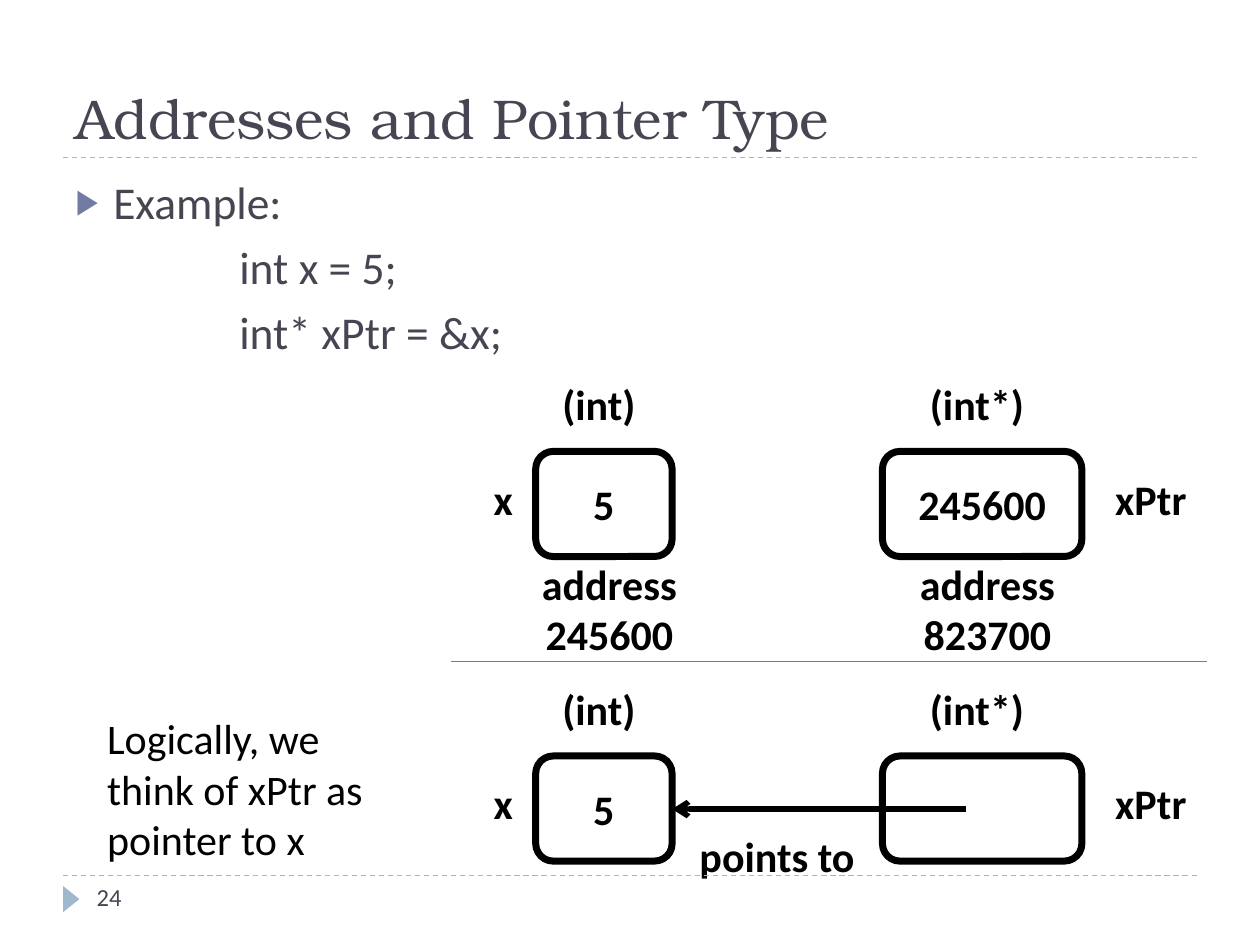
from lxml import etree
from pptx import Presentation
from pptx.dml.color import RGBColor
from pptx.enum.dml import MSO_LINE
from pptx.enum.shapes import MSO_CONNECTOR, MSO_SHAPE
from pptx.enum.text import MSO_ANCHOR, MSO_AUTO_SIZE, PP_ALIGN
from pptx.oxml.ns import qn
from pptx.util import Cm, Pt

LEFT, CENTER, RIGHT = PP_ALIGN.LEFT, PP_ALIGN.CENTER, PP_ALIGN.RIGHT
TOP, MIDDLE, BOTTOM = MSO_ANCHOR.TOP, MSO_ANCHOR.MIDDLE, MSO_ANCHOR.BOTTOM
DASH = MSO_LINE.DASH
COLORS = {"ink": "464653", "accent": "727CA3", "pale": "9FB8CD", "black": "000000"}
BODY_FONT, TITLE_FONT = "Calibri", "TeX Gyre Bonum"


def color(name):
    return RGBColor.from_string(COLORS[name])


def style(para, size, ink, font=BODY_FONT, bold=False, align=LEFT):
    para.alignment = align
    para.font.size, para.font.name, para.font.bold = Pt(size), font, bold
    para.font.color.rgb = color(ink)


def write(shape, lines, align=CENTER, size=24, ink="black", bold=True, anchor=MIDDLE):
    frame = shape.text_frame
    frame.word_wrap = True
    frame.vertical_anchor = anchor
    frame.text = "\n".join(lines)
    for para in frame.paragraphs:
        style(para, size, ink, bold=bold, align=align)


def add_text(page, box, lines, **options):
    write(page.shapes.add_textbox(*map(Cm, box)), lines, **options)


def add_line(page, start, end, ink, width, dash=None, arrow=False):
    line = page.shapes.add_connector(MSO_CONNECTOR.STRAIGHT, *map(Cm, start + end))
    line.line.color.rgb = color(ink)
    line.line.width = Pt(width)
    if dash:
        line.line.dash_style = dash
    if arrow:
        outline = line.line._get_or_add_ln()
        etree.SubElement(outline, qn("a:tailEnd"), type="arrow")
    etree.SubElement(line._element.spPr, qn("a:effectLst"))


def set_bullet(para, indent, hanging, mark=None):
    props = para._p.get_or_add_pPr()
    props.set("marL", str(Cm(indent)))
    props.set("indent", str(-Cm(hanging)))
    if mark is None:
        etree.SubElement(props, qn("a:buNone"))
        return
    tint = etree.SubElement(props, qn("a:buClr"))
    etree.SubElement(tint, qn("a:srgbClr"), val=COLORS["accent"])
    etree.SubElement(props, qn("a:buSzPct"), val="76000")
    etree.SubElement(props, qn("a:buFont"), typeface=BODY_FONT)
    etree.SubElement(props, qn("a:buChar"), char=mark)


def place(shape, box):
    shape.left, shape.top, shape.width, shape.height = map(Cm, box)


def add_title(page, box):
    title = page.shapes.title
    place(title, box)
    frame = title.text_frame
    frame.text = "Addresses and Pointer Type"
    frame.vertical_anchor = BOTTOM
    frame.auto_size = MSO_AUTO_SIZE.NONE
    style(frame.paragraphs[0], 32, "ink", font=TITLE_FONT)
    left, top, width, height = box
    add_line(page, (left, top + height), (left + width, top + height), "pale", 0.75, DASH)


def add_example(page, box):
    body = page.placeholders[1]
    place(body, box)
    frame = body.text_frame
    frame.text = "Example:\nint x = 5;\nint* xPtr = &x;"
    frame.auto_size = MSO_AUTO_SIZE.NONE
    for number, para in enumerate(frame.paragraphs):
        para.space_before = Pt(6 if number else 0)
        if number:
            set_bullet(para, 3.3, 0)
        else:
            set_bullet(para, 0.76, 0.76, "▶")
        style(para, 26, "ink")


def add_cell(page, box, value):
    cell = page.shapes.add_shape(MSO_SHAPE.ROUNDED_RECTANGLE, *map(Cm, box))
    cell.shadow.inherit = False
    cell.fill.background()
    cell.line.color.rgb = color("black")
    cell.line.width = Pt(4)
    if value:
        write(cell, [value])


def add_variables(page, left, top, pointer_value):
    add_text(page, (left, top + 1.9, 1.06, 1.47), ["x"], align=RIGHT)
    add_text(page, (left + 12.7, top + 1.9, 2.75, 1.47), ["xPtr"], align=LEFT)
    variables = [("(int)", 1.06, 1.27, 2.75, "5"),
                 ("(int*)", 8.68, 8.26, 4.02, pointer_value)]
    for kind, label_x, cell_x, width, value in variables:
        add_text(page, (left + label_x, top, 2.97, 1.47), [kind])
        add_cell(page, (left + cell_x, top + 1.69, width, 2.12), value)


def add_memory_view(page, left, top):
    add_variables(page, left, top, "245600")
    for offset, address in ((0.64, "245600"), (8.26, "823700")):
        add_text(page, (left + offset, top + 4.02, 4.23, 1.69), ["address", address])


def add_logical_view(page, left, top):
    add_variables(page, left, top, None)
    add_line(page, (left + 9.95, top + 2.76), (left + 4.02, top + 2.76), "black", 3, arrow=True)
    add_text(page, (left + 2.75, top + 2.97, 6.77, 1.47), ["points to"])
    add_text(page, (left - 7.62, top + 0.86, 6.77, 2.96),
             ["Logically, we", "think of xPtr as", "pointer to x"], align=LEFT, bold=False)


def add_footer(page, left, top, width):
    add_line(page, (left, top), (left + width, top), "pale", 0.75, DASH)
    marker = page.shapes.add_shape(MSO_SHAPE.ISOSCELES_TRIANGLE,
                                   Cm(left - 0.1), Cm(top + 0.31), Cm(0.53), Cm(0.33))
    marker.rotation = 90
    marker.shadow.inherit = False
    marker.fill.solid()
    marker.fill.fore_color.rgb = color("pale")
    marker.line.fill.background()
    add_text(page, (left + 0.43, top, 5.5, 1.02), ["24"],
             align=LEFT, size=14, ink="ink", bold=False, anchor=TOP)


def main():
    deck = Presentation()
    deck.slide_width, deck.slide_height = Cm(25.4), Cm(19.05)
    page = deck.slides.add_slide(deck.slide_layouts[1])
    add_title(page, (1.27, 0.43, 22.86, 2.74))
    add_example(page, (1.27, 3.38, 23.29, 14.4))
    add_memory_view(page, 9.53, 7.41)
    add_line(page, (9.1, 13.34), (24.34, 13.34), "accent", 0.75)
    add_logical_view(page, 9.53, 13.55)
    add_footer(page, 1.27, 17.65, 22.86)
    deck.save("out.pptx")


if __name__ == "__main__":
    main()
